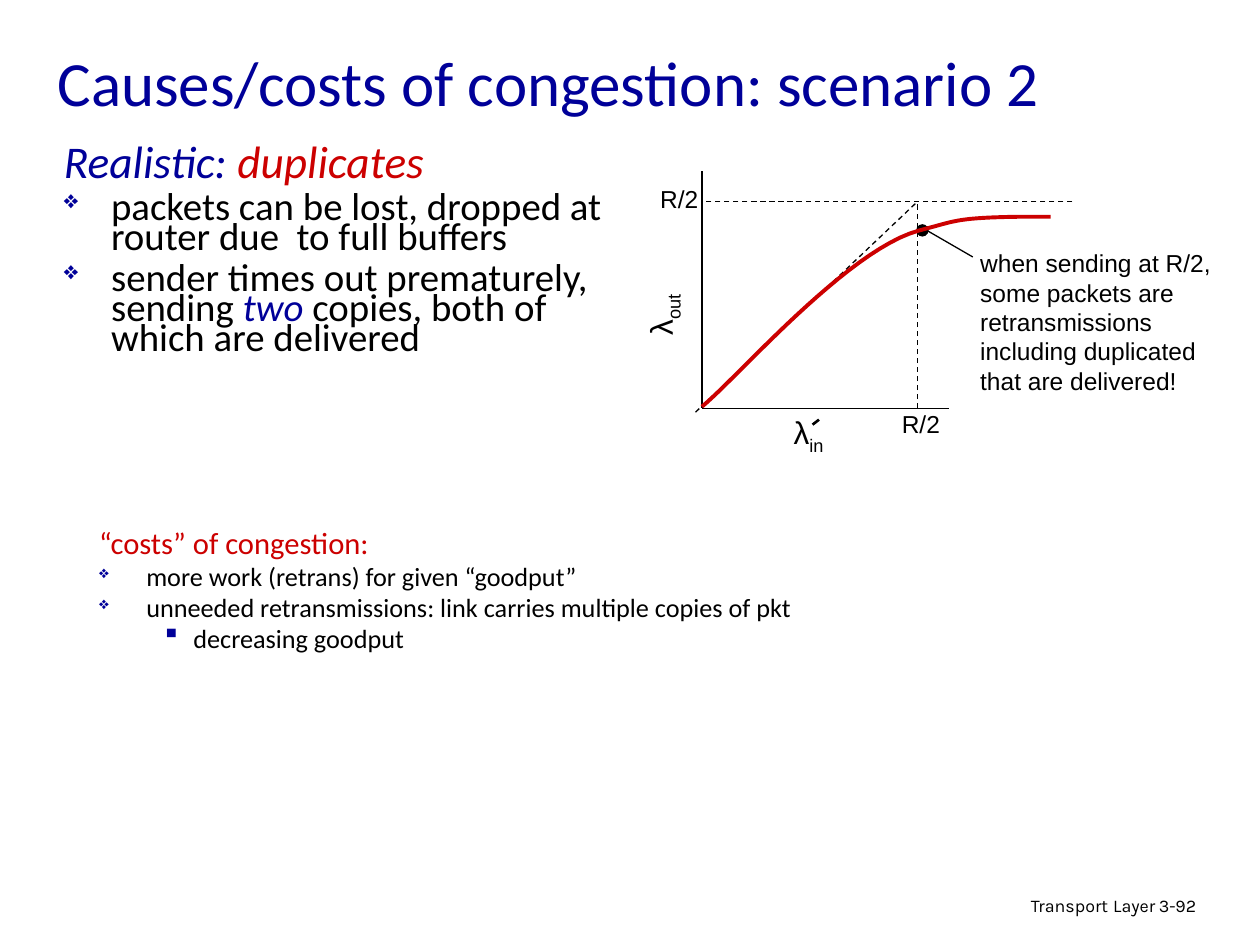
import pptx
import pptx.util
import pptx.dml.color
import pptx.enum.dml
import pptx.enum.shapes
import pptx.enum.text
import pptx.oxml
import pptx.oxml.ns

Cm, Pt = pptx.util.Cm, pptx.util.Pt

COLORS = {"black": "000000", "blue": "000099", "red": "CC0000"}
DIAMOND, SQUARE = "❖", "▪"
LEFT = pptx.enum.text.PP_ALIGN.LEFT
RIGHT = pptx.enum.text.PP_ALIGN.RIGHT


def rgb(name):
    return pptx.dml.color.RGBColor.from_string(COLORS[name])


def add_xml(parent, tag, **attributes):
    element = pptx.oxml.parse_xml(f"<a:{tag} {pptx.oxml.ns.nsdecls('a')}/>")
    for name, value in attributes.items():
        element.set(name, str(value))
    parent.append(element)
    return element


def add_run(paragraph, text, size, font="Arial", color="black", italic=False, baseline=None):
    run = paragraph.add_run()
    run.text = text
    run.font.size = Pt(size)
    run.font.name = font
    run.font.italic = italic
    run.font.color.rgb = rgb(color)
    if baseline is not None:
        run.font._element.set("baseline", str(baseline))


def add_text_box(slide, left, top, width, height, wrap=True):
    box = slide.shapes.add_textbox(Cm(left), Cm(top), Cm(width), Cm(height))
    box.text_frame.word_wrap = wrap
    return box


def add_label(slide, place, runs, wrap=True, align=LEFT, spacing=None):
    """One paragraph; each run is (text, size, options)."""
    box = add_text_box(slide, *place, wrap=wrap)
    paragraph = box.text_frame.paragraphs[0]
    paragraph.alignment = align
    if spacing:
        paragraph.line_spacing = spacing
    for text, size, options in runs:
        add_run(paragraph, text, size, **options)
    return box


def add_list(slide, place, items):
    """Each item is (bullet, space before, runs)."""
    frame = add_text_box(slide, *place).text_frame
    for index, (bullet, space, runs) in enumerate(items):
        paragraph = frame.add_paragraph() if index else frame.paragraphs[0]
        paragraph.line_spacing = 0.65
        paragraph.space_before = Pt(space)
        margin, hanging = (1.9, 0.64) if bullet == SQUARE else (0.95, 0.95)
        paragraph.level = 1 if bullet == SQUARE else 0
        properties = paragraph._p.get_or_add_pPr()
        properties.set("marL", str(Cm(margin)))
        properties.set("indent", str(-Cm(hanging)))
        if bullet:
            color = add_xml(properties, "buClr")
            add_xml(color, "srgbClr", val=COLORS["blue"])
            if bullet == DIAMOND:
                add_xml(properties, "buSzPct", val=65000)
            add_xml(properties, "buChar", char=bullet)
        for text, size, options in runs:
            add_run(paragraph, text, size, font="Calibri", **options)


def add_line(slide, start, end, width=0.75, dashed=False, arrow=False):
    line = slide.shapes.add_connector(
        pptx.enum.shapes.MSO_CONNECTOR.STRAIGHT,
        Cm(start[0]), Cm(start[1]), Cm(end[0]), Cm(end[1]))
    line.line.color.rgb = rgb("black")
    line.line.width = Pt(width)
    if dashed:
        line.line.dash_style = pptx.enum.dml.MSO_LINE.DASH
    if arrow:
        add_xml(line.line._get_or_add_ln(), "tailEnd", type="triangle")
    add_xml(line._element.spPr, "effectLst")


def add_dot(slide, left, top, size):
    dot = slide.shapes.add_shape(
        pptx.enum.shapes.MSO_SHAPE.OVAL, Cm(left), Cm(top), Cm(size), Cm(size))
    dot.shadow.inherit = False
    dot.fill.solid()
    dot.fill.fore_color.rgb = rgb("black")
    dot.line.fill.background()


def bezier_point(points, t):
    weights = ((1 - t) ** 3, 3 * t * (1 - t) ** 2, 3 * t * t * (1 - t), t ** 3)
    return tuple(Cm(sum(w * p[axis] for w, p in zip(weights, points))) for axis in (0, 1))


def add_curve(slide, start, segments, steps=24):
    vertices, current = [], start
    for segment in segments:
        points = (current, *segment)
        vertices += [bezier_point(points, step / steps) for step in range(1, steps + 1)]
        current = segment[-1]
    builder = slide.shapes.build_freeform(Cm(start[0]), Cm(start[1]))
    builder.add_line_segments(vertices, close=False)
    curve = builder.convert_to_shape()
    curve.shadow.inherit = False
    curve.fill.background()
    curve.line.color.rgb = rgb("red")
    curve.line.width = Pt(2.25)


def add_graph(slide):
    axis_x, axis_y = 14.15, 8.23
    limit_x, limit_y = 18.5, 4.06

    # Axes and dashed limits
    add_line(slide, (axis_x, 3.45), (axis_x, axis_y))
    add_line(slide, (19.13, axis_y), (axis_x, axis_y))
    add_line(slide, (21.62, limit_y), (axis_x, limit_y), dashed=True)
    add_line(slide, (14.02, 8.31), (limit_x, limit_y), dashed=True)
    add_line(slide, (limit_x, axis_y), (limit_x, limit_y), dashed=True)

    # Axis labels
    for left, top in ((13.06, 3.58), (17.93, 8.13)):
        add_label(slide, (left, top, 1.27, 0.86), [("R/2", 14, {})], wrap=False)
    subscript = {"baseline": -25000}
    output_label = add_label(slide, (12.5, 5.59, 1.73, 1.12),
                             [("λ", 18, {}), ("out", 18, subscript)])
    output_label.rotation = 270
    add_label(slide, (15.75, 8.2, 1.14, 1.12),
              [("λ", 18, {}), ("in", 18, subscript)], wrap=False)
    add_line(slide, (16.38, 8.56), (16.51, 8.46), width=1.5)

    # Marked point and its note
    add_dot(slide, 18.47, 4.52, 0.25)
    note = ("when sending at R/2, some packets are retransmissions "
            "including duplicated that are delivered!")
    add_label(slide, (19.51, 4.88, 5.23, 3.23), [(note, 14, {})])
    add_line(slide, (19.61, 5.18), (18.52, 4.55), arrow=True)

    # Throughput curve
    add_curve(slide, (axis_x, 8.2), [
        ((14.86, 7.62), (17.07, 5.05), (18.52, 4.65)),
        ((19.3, 4.45), (19.25, 4.39), (20.6, 4.37)),
        ((21.18, 4.37), (21.06, 4.37), (21.18, 4.37)),
    ])


def main():
    presentation = pptx.Presentation()
    presentation.slide_width, presentation.slide_height = Cm(25.4), Cm(19.05)
    slide = presentation.slides.add_slide(presentation.slide_layouts[6])

    # Footer
    karla = {"font": "Karla"}
    add_label(slide, (15.49, 17.91, 8.05, 0.79),
              [("Transport", 10.2, karla), (" ", 11.9, karla), ("Layer", 10.2, karla)],
              align=RIGHT, spacing=0.9)
    add_label(slide, (23.11, 17.96, 1.88, 0.76), [("3-92", 10.2, karla)], spacing=0.9)

    add_graph(slide)

    # Title
    heading = {"font": "Calibri", "color": "blue"}
    title = add_label(slide, (0.91, 0.33, 21.59, 2.41), [
        ("Causes/costs of congestion: scenario 2", 36, heading), (" ", 44, heading)])
    title.text_frame.vertical_anchor = pptx.enum.text.MSO_ANCHOR.MIDDLE

    # Scenario and costs
    blue = {"color": "blue", "italic": True}
    red = {"color": "red", "italic": True}
    add_list(slide, (1.04, 2.9, 11.96, 5.33), [
        (None, 6, [("Realistic: ", 25.9, blue), ("duplicates", 25.9, red)]),
        (DIAMOND, 6, [("packets can be lost, dropped at router due  to full buffers", 22.2, {})]),
        (DIAMOND, 6, [("sender times out prematurely, sending ", 22.2, {}),
                      ("two ", 22.2, blue),
                      ("copies, both of which are delivered", 22.2, {})]),
    ])
    add_list(slide, (1.75, 10.67, 22.63, 2.74), [
        (None, 7, [("“costs” of congestion:", 17.5, {"color": "red"})]),
        (DIAMOND, 6, [("more work (retrans) for given “goodput”", 15, {})]),
        (DIAMOND, 6, [("unneeded retransmissions: link carries multiple copies of pkt", 15, {})]),
        (SQUARE, 6, [("decreasing goodput", 15, {})]),
    ])

    presentation.save("out.pptx")


if __name__ == "__main__":
    main()
